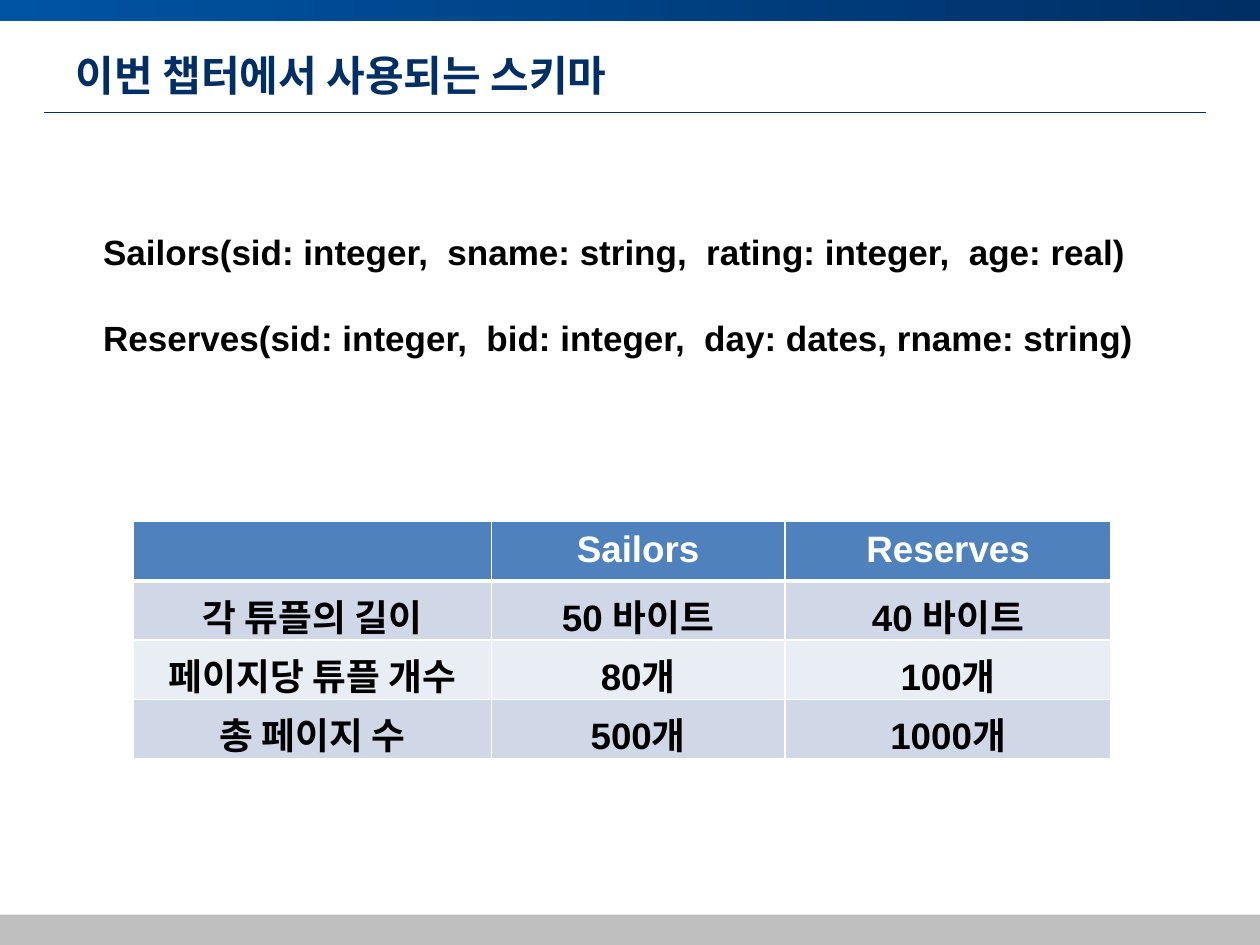
from typing import NamedTuple

from lxml import etree
from pptx import Presentation
from pptx.dml.color import RGBColor
from pptx.enum import shapes as kinds, text as txt
from pptx.oxml.ns import qn
from pptx.util import Inches, Pt

LATIN, HANGUL = "Arial", "Noto Sans CJK KR"
NAVY, BLUE, WHITE, BLACK = "002F65", "0054A4", "FFFFFF", "000000"
HEAD, ODD, EVEN, GRAY = "4F81BD", "D0D8E8", "E9EDF4", "BFBFBF"


class Bar(NamedTuple):
    top: float
    high: float
    fills: tuple


BARS = [Bar(0, 0.17, (BLUE, NAVY)), Bar(7.26, 0.25, (GRAY,))]
SCHEMA = [
    "Sailors(sid: integer,  sname: string,  rating: integer,  age: real)",
    "Reserves(sid: integer,  bid: integer,  day: dates, rname: string)",
]
ROWS = [
    ("", "Sailors", "Reserves"),
    ("각 튜플의 길이", "50 바이트", "40 바이트"),
    ("페이지당 튜플 개수", "80개", "100개"),
    ("총 페이지 수", "500개", "1000개"),
]
COLS = (2.84, 2.33, 2.59)
ROW_HIGH = 0.47


def color(code: str) -> RGBColor:
    return RGBColor.from_string(code)


def style(para, size: float, code: str, face: str = LATIN) -> None:
    font = para.font
    font.size, font.bold, font.name = Pt(size), True, face
    font.color.rgb = color(code)
    props = para._p.pPr.find(qn("a:defRPr"))
    etree.SubElement(props, qn("a:ea"), typeface=HANGUL)


def draw_bar(slide, bar: Bar) -> None:
    shape = slide.shapes.add_shape(
        kinds.MSO_SHAPE.RECTANGLE, 0, Inches(bar.top), Inches(10), Inches(bar.high))
    shape.shadow.inherit = False
    shape.line.fill.background()
    if len(bar.fills) == 1:
        shape.fill.solid()
        shape.fill.fore_color.rgb = color(bar.fills[0])
        return
    shape.fill.gradient()
    shape.fill.gradient_angle = 0
    for stop, code in zip(shape.fill.gradient_stops, bar.fills):
        stop.color.rgb = color(code)


def draw_rule(slide) -> None:
    line = slide.shapes.add_connector(
        kinds.MSO_CONNECTOR.STRAIGHT, Inches(0.35), Inches(0.89), Inches(9.57), Inches(0.89))
    line.line.color.rgb = color(NAVY)
    line.line.width = Pt(0.5)
    etree.SubElement(line._element.spPr, qn("a:effectLst"))


def draw_title(slide, words: str) -> None:
    title = slide.shapes.title
    title.left, title.top = Inches(0.5), Inches(0.3)
    title.width, title.height = Inches(9), Inches(0.58)
    frame = title.text_frame
    frame.text = words
    frame.vertical_anchor = txt.MSO_ANCHOR.MIDDLE
    para = frame.paragraphs[0]
    para.alignment = txt.PP_ALIGN.LEFT
    style(para, 24, NAVY, HANGUL)


def draw_schema(slide) -> None:
    box = slide.shapes.add_textbox(Inches(0.72), Inches(1.78), Inches(9.4), Inches(1.11))
    frame = box.text_frame
    frame.word_wrap = True
    frame.text = "\n".join(SCHEMA)
    for i, para in enumerate(frame.paragraphs):
        para.space_before = Pt(25 if i else 0)
        style(para, 20, BLACK)


def edge(cell, side: str, width: float) -> etree._Element:
    line = etree.Element(qn(f"a:{side}"), w=str(Pt(width)))
    fill = etree.SubElement(line, qn("a:solidFill"))
    etree.SubElement(fill, qn("a:srgbClr"), val=WHITE)
    return line


def draw_cell(cell, words: str, row: int) -> None:
    cell.margin_left = cell.margin_right = Inches(0.12)
    cell.margin_top = cell.margin_bottom = Inches(0.06)
    cell.fill.solid()
    cell.fill.fore_color.rgb = color((ODD if row % 2 else EVEN) if row else HEAD)
    # Borders come before the fill; a thick one parts head and body
    thick = {(0, "lnB"), (1, "lnT")}
    for i, side in enumerate(("lnL", "lnR", "lnT", "lnB")):
        width = 3 if (row, side) in thick else 1
        cell._tc.tcPr.insert(i, edge(cell, side, width))
    cell.text = words
    para = cell.text_frame.paragraphs[0]
    para.alignment = txt.PP_ALIGN.CENTER
    style(para, 21, BLACK if row else WHITE)


def draw_table(slide) -> None:
    table = slide.shapes.add_table(
        len(ROWS), len(COLS), Inches(1.06), Inches(4.14),
        Inches(sum(COLS)), Inches(ROW_HIGH * len(ROWS))).table
    for col, wide in zip(table.columns, COLS):
        col.width = Inches(wide)
    for r, row in enumerate(ROWS):
        table.rows[r].height = Inches(ROW_HIGH)
        for c, words in enumerate(row):
            draw_cell(table.cell(r, c), words, r)


def main() -> None:
    deck = Presentation()
    deck.slide_width, deck.slide_height = Inches(10), Inches(7.5)
    slide = deck.slides.add_slide(deck.slide_layouts[5])
    # Frame of the page
    for bar in BARS:
        draw_bar(slide, bar)
    draw_rule(slide)
    # Content
    draw_title(slide, "이번 챕터에서 사용되는 스키마")
    draw_schema(slide)
    draw_table(slide)
    deck.save("out.pptx")


if __name__ == "__main__":
    main()
